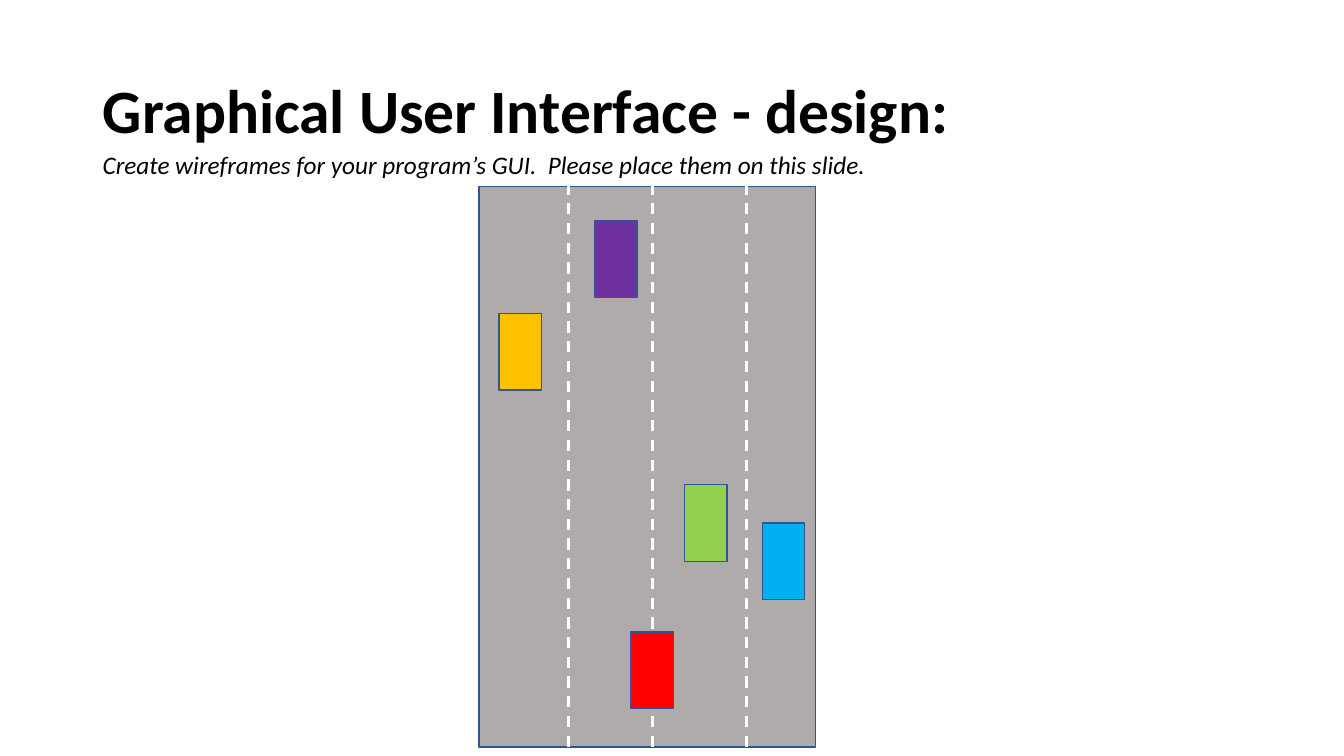
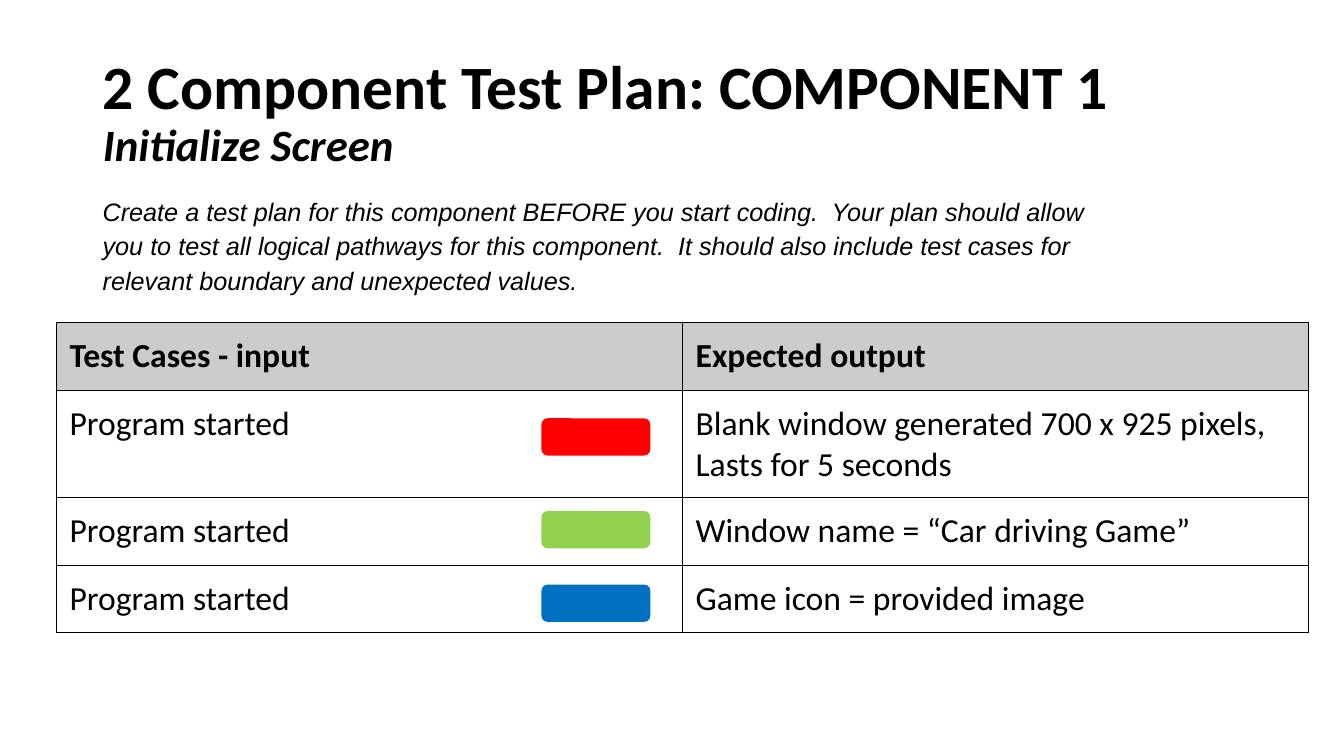
from lxml.etree import SubElement
from pptx import Presentation
from pptx.dml.color import RGBColor
from pptx.enum.dml import MSO_LINE
from pptx.enum.shapes import MSO_CONNECTOR, MSO_SHAPE
from pptx.enum.text import MSO_ANCHOR, MSO_AUTO_SIZE, PP_ALIGN
from pptx.oxml.ns import qn
from pptx.util import Inches, Pt

BLACK, WHITE, OUTLINE = "000000", "FFFFFF", "325491"
ROAD_GREY, HEADER_GREY = "AFABAB", "CCCCCC"
RED, GREEN, BLUE = "FF0000", "92D050", "0070C0"
ORANGE, PURPLE, SKY = "FFC000", "7030A0", "00B0F0"
TITLE_BOX = (0.92, 0.4, 11.5, 1.45)


def color(value):
    return RGBColor.from_string(value)


def style_font(font, size, name="Calibri", bold=False, italic=False):
    font.name, font.size = name, Pt(size)
    font.bold, font.italic = bold, italic
    font.color.rgb = color(BLACK)


def add_page(deck, title, subtitle=None):
    page = deck.slides.add_slide(deck.slide_layouts[5])
    shape = page.shapes.title
    shape.left, shape.top, shape.width, shape.height = map(Inches, TITLE_BOX)
    frame = shape.text_frame
    frame.word_wrap = True
    frame.auto_size = MSO_AUTO_SIZE.NONE
    frame.vertical_anchor = MSO_ANCHOR.MIDDLE
    para = frame.paragraphs[0]
    para.alignment = PP_ALIGN.LEFT
    para.line_spacing = 0.9
    style_font(para.font, 44, bold=True)
    para.add_run().text = title
    if subtitle:
        para.add_line_break()
        span = para.add_run()
        span.text = subtitle
        span.font.size, span.font.italic = Pt(32), True
    return page


def add_instruction(page, box, text, font_name):
    frame = page.shapes.add_textbox(*map(Inches, box)).text_frame
    frame.word_wrap = True
    para = frame.paragraphs[0]
    para.text = text
    para.line_spacing = 1.15
    style_font(para.font, 18, font_name, italic=True)


def add_block(shapes, box, fill, outline=None, kind=MSO_SHAPE.RECTANGLE):
    block = shapes.add_shape(kind, *map(Inches, box))
    block.shadow.inherit = False
    block.fill.solid()
    block.fill.fore_color.rgb = color(fill)
    if outline:
        block.line.color.rgb = color(outline)
        block.line.width = Pt(1)
    else:
        block.line.fill.background()


def add_lane_line(shapes, x, top, bottom):
    lane = shapes.add_connector(MSO_CONNECTOR.STRAIGHT, Inches(x), Inches(bottom),
                                Inches(x), Inches(top))
    lane.line.color.rgb = color(WHITE)
    lane.line.width = Pt(2)
    lane.line.dash_style = MSO_LINE.DASH
    SubElement(lane._element.spPr, qn("a:effectLst"))


def add_road(page, box):
    left, top, width, height = box
    shapes = page.shapes.add_group_shape().shapes
    add_block(shapes, box, ROAD_GREY, OUTLINE)
    for offset in (0.89, 1.72, 2.65):
        add_lane_line(shapes, left + offset, top, top + height)
    cars = [(0.2, 1.26, ORANGE), (1.15, 0.34, PURPLE), (2.04, 2.96, GREEN),
            (2.81, 3.34, SKY), (1.51, 4.42, RED)]
    for x, y, fill in cars:
        add_block(shapes, (left + x, top + y, 0.42, 0.76), fill, OUTLINE)


def add_borders(cell):
    properties = cell._tc.get_or_add_tcPr()
    for index, side in enumerate(("lnL", "lnR", "lnT", "lnB")):
        line = properties.makeelement(qn(f"a:{side}"), {"w": str(Pt(0.75))})
        fill = SubElement(line, qn("a:solidFill"))
        SubElement(fill, qn("a:srgbClr"), val=BLACK)
        properties.insert(index, line)


def fill_cell(cell, text, header):
    cell.margin_left = cell.margin_right = Inches(0.13)
    cell.margin_top = cell.margin_bottom = Inches(0.13)
    cell.text = text
    for para in cell.text_frame.paragraphs:
        style_font(para.font, 24, bold=header)
    if header:
        cell.fill.solid()
        cell.fill.fore_color.rgb = color(HEADER_GREY)
    else:
        cell.fill.background()
    add_borders(cell)


def add_test_table(page, box, rows, row_heights):
    left, top, width, height = box
    table = page.shapes.add_table(len(rows), len(rows[0]), *map(Inches, box)).table
    table.first_row = table.horz_banding = False
    for row, row_height, texts in zip(table.rows, row_heights, rows):
        row.height = Inches(row_height)
        for cell, text in zip(row.cells, texts):
            fill_cell(cell, text, header=texts is rows[0])
    for offset, fill in ((0.95, RED), (1.87, GREEN), (2.6, BLUE)):
        add_block(page.shapes, (left + 4.81, top + offset, 1.08, 0.37), fill,
                  kind=MSO_SHAPE.ROUNDED_RECTANGLE)


def build_design_page(deck):
    page = add_page(deck, "Graphical User Interface - design:")
    add_instruction(page, (0.92, 1.39, 10.94, 0.43),
                    "Create wireframes for your program’s GUI.  Please place them on this slide.",
                    "Calibri")
    add_road(page, (4.75, 1.85, 3.34, 5.56))


def build_test_page(deck):
    page = add_page(deck, "2 Component Test Plan: COMPONENT 1", "Initialize Screen")
    add_instruction(page, (0.92, 1.85, 10.33, 1.12),
                    "Create a test plan for this component BEFORE you start coding.  "
                    "Your plan should allow you to test all logical pathways for this "
                    "component.  It should also include test cases for relevant boundary "
                    "and unexpected values.", "Arial")
    rows = [("Test Cases - input", "Expected output"),
            ("Program started",
             "Blank window generated 700 x 925 pixels,\nLasts for 5 seconds"),
            ("Program started", "Window name = “Car driving Game”"),
            ("Program started", "Game icon = provided image")]
    add_test_table(page, (0.56, 3.2, 12.42, 3.07), rows, (0.67, 1.07, 0.67, 0.67))


def main():
    deck = Presentation()
    deck.slide_width, deck.slide_height = Inches(13.33), Inches(7.5)
    build_design_page(deck)
    build_test_page(deck)
    deck.save("out.pptx")


if __name__ == "__main__":
    main()
